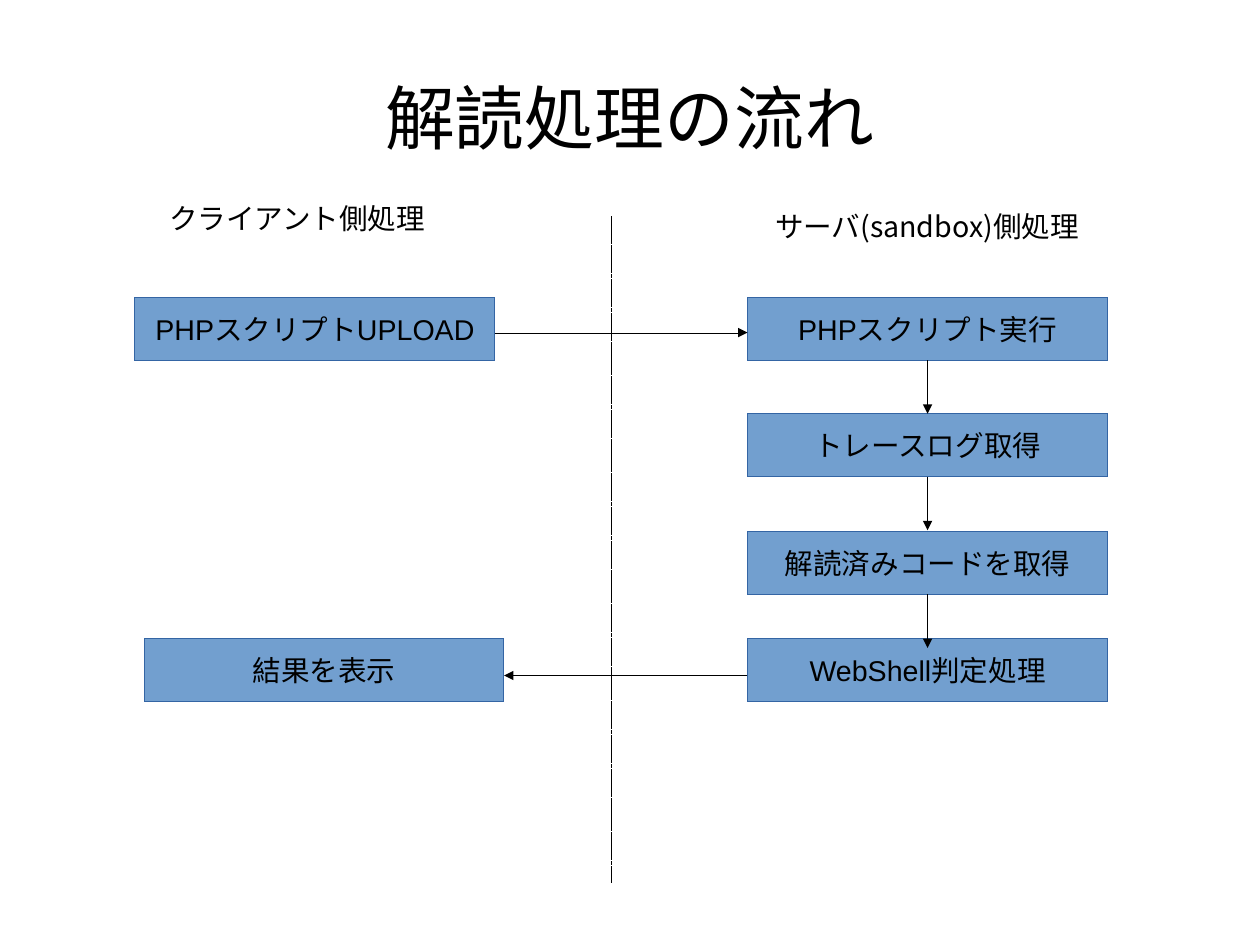
import pptx
import pptx.util
import pptx.dml.color
import pptx.enum.dml
import pptx.enum.shapes
import pptx.enum.text
import pptx.oxml
import pptx.oxml.ns

Inches = pptx.util.Inches
Anchor = pptx.enum.text.MSO_ANCHOR
CJK = "Noto Sans CJK JP"
BOX_W, BOX_H = 3.15, 0.55
CM = 1 / 2.54


def color(code):
    return pptx.dml.color.RGBColor.from_string(code)


def add_node(parent, tag, **attrs):
    node = pptx.oxml.parse_xml(f"<{tag} {pptx.oxml.ns.nsdecls('a')}/>")
    for key, value in attrs.items():
        node.set(key, value)
    parent.append(node)


def write(shape, text, size, font, anchor, wrap=True, inset=(0.1, 0.05)):
    frame = shape.text_frame
    frame.word_wrap = wrap
    frame.vertical_anchor = anchor
    frame.margin_left = frame.margin_right = Inches(inset[0])
    frame.margin_top = frame.margin_bottom = Inches(inset[1])
    para = frame.paragraphs[0]
    para.alignment = pptx.enum.text.PP_ALIGN.CENTER
    run = para.add_run()
    run.text = text
    run.font.size = pptx.util.Pt(size)
    run.font.name = font
    run.font.color.rgb = color("000000")
    add_node(run.font._element, "a:ea", typeface=CJK)


def set_line(line, code):
    line.color.rgb = color(code)
    # A hairline needs its zero width written out, or the theme's applies
    edge = line._get_or_add_ln()
    edge.set("w", "0")
    return edge


def add_label(slide, box, text, size=18, anchor=Anchor.TOP, inset=(0.1, 0.05)):
    shape = slide.shapes.add_textbox(*map(Inches, box))
    write(shape, text, size, CJK, anchor, inset=inset)


def add_step(slide, left, top, text):
    kind = pptx.enum.shapes.MSO_SHAPE.RECTANGLE
    shape = slide.shapes.add_shape(
        kind, Inches(left), Inches(top), Inches(BOX_W), Inches(BOX_H))
    shape.shadow.inherit = False
    shape.fill.solid()
    shape.fill.fore_color.rgb = color("729FCF")
    set_line(shape.line, "3465A4")
    write(shape, text, 18, "Arial", Anchor.MIDDLE, wrap=False)


def add_line(slide, start, end, arrow=True):
    kind = pptx.enum.shapes.MSO_CONNECTOR.STRAIGHT
    link = slide.shapes.add_connector(kind, *map(Inches, (*start, *end)))
    edge = set_line(link.line, "000000")
    if arrow:
        add_node(edge, "a:tailEnd", type="triangle")
    else:
        link.line.dash_style = pptx.enum.dml.MSO_LINE.SQUARE_DOT
    add_node(link._element.spPr, "a:effectLst")


def add_client(slide, left, top):
    add_label(slide, (left, top, 3.46, 0.46), "クライアント側処理")
    add_step(slide, left + 0.31, top + 0.89, "PHPスクリプトUPLOAD")
    add_step(slide, left + 0.39, top + 3.88, "結果を表示")


def add_server(slide, left, top):
    add_label(slide, (left - 0.16, top - 0.82, 3.46, 0.46),
              "サーバ(sandbox)側処理")
    steps = [(0, "PHPスクリプト実行"), (1.02, "トレースログ取得"),
             (2.05, "解読済みコードを取得"), (2.99, "WebShell判定処理")]
    for drop, text in steps:
        add_step(slide, left, top + drop, text)
    # Arrows down from each step but the last
    mid = left + BOX_W / 2
    for drop, _ in steps[:-1]:
        foot = top + drop + BOX_H
        add_line(slide, (mid, foot), (mid, foot + 0.47))


def main():
    deck = pptx.Presentation()
    # A page of 28 by 21 cm
    deck.slide_width = Inches(28 * CM)
    deck.slide_height = Inches(21 * CM)
    slide = deck.slides.add_slide(deck.slide_layouts[6])

    # Title and the divider between the two sides
    add_label(slide, (0.55, 0.33, 9.92, 1.38), "解読処理の流れ", 44,
              Anchor.MIDDLE, (0, 0))
    add_line(slide, (5.35, 1.89), (5.35, 7.72), arrow=False)

    # Both sides
    add_client(slide, 0.87, 1.71)
    add_server(slide, 6.54, 2.6)

    # Arrows across the divider
    add_line(slide, (4.33, 2.91), (6.54, 2.91))
    add_line(slide, (6.54, 5.91), (4.41, 5.91))
    deck.save("out.pptx")


if __name__ == "__main__":
    main()
